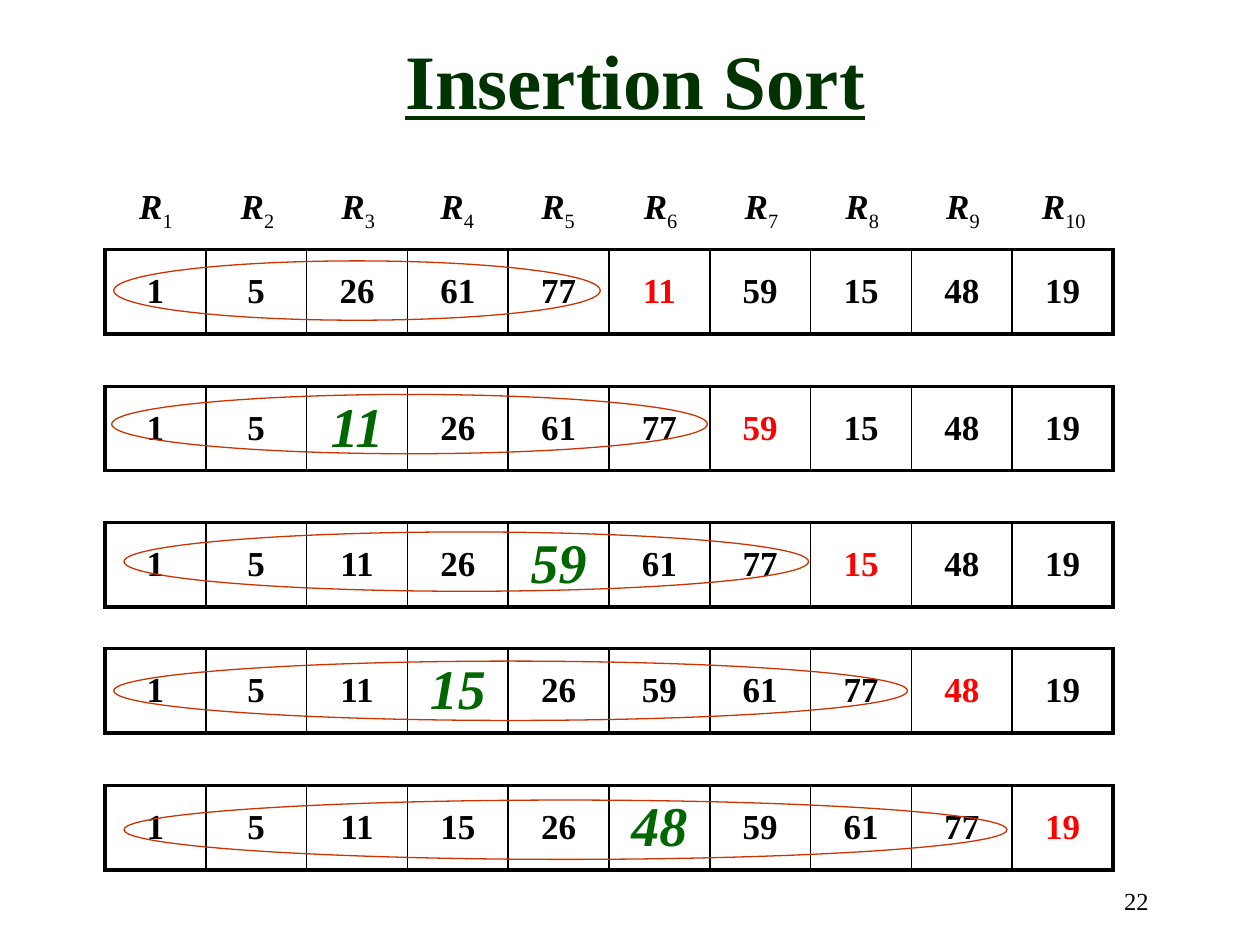
"""Build the insertion sort slide showing five passes over ten records."""
import dataclasses
import typing

import pptx
import pptx.dml.color
import pptx.enum.shapes
import pptx.enum.text
import pptx.oxml
import pptx.oxml.ns
import pptx.util

Pt = pptx.util.Pt
Align = pptx.enum.text.PP_ALIGN
Anchor = pptx.enum.text.MSO_ANCHOR


@dataclasses.dataclass(frozen=True)
class Theme:
    font: str = "Times New Roman"
    black: str = "000000"
    heading: str = "003300"
    inserted: str = "006600"
    pending: str = "FF0000"
    ring: str = "CC3300"
    title_size: float = 44
    inserted_size: float = 32
    cell_size: float = 20
    number_size: float = 14
    outer_line: float = 2.25
    inner_line: float = 1
    ring_line: float = 0.75


class Ring(typing.NamedTuple):
    left: float
    top: float
    width: float


class Pass(typing.NamedTuple):
    top: float
    values: tuple[int, ...]
    inserted: int | None
    pending: int
    ring: Ring


THEME = Theme()
TABLE_LEFT = 60
COLUMN = 57.6
ROW_HEIGHT = 48.24
RING_HEIGHT = 33.9
HEADER_TOP, HEADER_HEIGHT = 94.5, 51.8
HEADER_WIDTHS = (58.3, COLUMN, COLUMN, 55.6, 59.6) + (COLUMN,) * 5
PASSES = (
    Pass(142.6, (1, 5, 26, 61, 77, 11, 59, 15, 48, 19), None, 5, Ring(65, 149.1, 278)),
    Pass(220.8, (1, 5, 11, 26, 61, 77, 59, 15, 48, 19), 2, 6, Ring(63.8, 225.4, 340.4)),
    Pass(298.6, (1, 5, 11, 26, 59, 61, 77, 15, 48, 19), 4, 7, Ring(70.8, 304, 391.2)),
    Pass(370.6, (1, 5, 11, 15, 26, 59, 61, 77, 48, 19), 3, 8, Ring(65, 377.8, 453.6)),
    Pass(448.8, (1, 5, 11, 15, 26, 48, 59, 61, 77, 19), 5, 9, Ring(70.8, 457.2, 504.6)),
)


def add_span(para, text: str, size: float, color: str = THEME.black, **style):
    """Append formatted text to a paragraph."""
    span = para.add_run()
    span.text = text
    for name, value in {"name": THEME.font, "size": Pt(size), **style}.items():
        setattr(span.font, name, value)
    span.font.color.rgb = pptx.dml.color.RGBColor.from_string(color)
    return span


def set_border(cell, side: str, width: float) -> None:
    """Draw one cell edge, or hide it when the width is zero."""
    edge = pptx.oxml.parse_xml(
        f'<a:ln{side} {pptx.oxml.ns.nsdecls("a")} w="{int(Pt(width))}">'
        + (f'<a:solidFill><a:srgbClr val="{THEME.black}"/></a:solidFill>' if width else "<a:noFill/>")
        + f"</a:ln{side}>"
    )
    cell._tc.get_or_add_tcPr().append(edge)


def add_row(page, top: float, height: float, widths: typing.Sequence[float], ruled: bool) -> list:
    """Add a one-row table and return its cells."""
    table = page.shapes.add_table(
        1, len(widths), Pt(TABLE_LEFT), Pt(top), Pt(sum(widths)), Pt(height)
    ).table
    table.first_row = table.horz_banding = False
    table.rows[0].height = Pt(height)
    cells = list(table.rows[0].cells)
    outer, inner = (THEME.outer_line, THEME.inner_line) if ruled else (0, 0)
    for index, (cell, width) in enumerate(zip(cells, widths)):
        table.columns[index].width = Pt(width)
        set_border(cell, "L", outer if index == 0 else inner)
        set_border(cell, "R", outer if index == len(cells) - 1 else inner)
        set_border(cell, "T", outer)
        set_border(cell, "B", outer)
        cell.fill.background()
        cell.vertical_anchor = Anchor.MIDDLE
        cell.text_frame.paragraphs[0].alignment = Align.CENTER
    return cells


def add_header(page) -> None:
    """Add the record labels with subscript numbers."""
    cells = add_row(page, HEADER_TOP, HEADER_HEIGHT, HEADER_WIDTHS, ruled=False)
    for number, cell in enumerate(cells, start=1):
        para = cell.text_frame.paragraphs[0]
        add_span(para, "R", THEME.cell_size, bold=True, italic=True)
        span = add_span(para, str(number), THEME.cell_size, bold=False)
        span._r.get_or_add_rPr().set("baseline", "-25000")


def add_pass(page, step: Pass) -> None:
    """Add the values of one sorting pass."""
    cells = add_row(page, step.top, ROW_HEIGHT, (COLUMN,) * len(step.values), ruled=True)
    for index, (cell, value) in enumerate(zip(cells, step.values)):
        style = {"size": THEME.cell_size}
        if index == step.inserted:
            style = {"size": THEME.inserted_size, "color": THEME.inserted, "italic": True}
        elif index == step.pending:
            style["color"] = THEME.pending
        add_span(cell.text_frame.paragraphs[0], str(value), bold=True, **style)


def add_ring(page, ring: Ring) -> None:
    """Circle the sorted part of a pass."""
    shape = page.shapes.add_shape(
        pptx.enum.shapes.MSO_SHAPE.OVAL,
        Pt(ring.left), Pt(ring.top), Pt(ring.width), Pt(RING_HEIGHT),
    )
    shape.shadow.inherit = False
    shape.fill.background()
    shape.line.color.rgb = pptx.dml.color.RGBColor.from_string(THEME.ring)
    shape.line.width = Pt(THEME.ring_line)


def add_title(page, text: str) -> None:
    """Place and format the title."""
    title = page.shapes.title
    for name, value in {"left": 54, "top": 0, "width": 618, "height": 90}.items():
        setattr(title, name, Pt(value))
    title.text_frame.auto_size = pptx.enum.text.MSO_AUTO_SIZE.NONE
    title.text_frame.vertical_anchor = Anchor.MIDDLE
    para = title.text_frame.paragraphs[0]
    para.alignment = Align.CENTER
    add_span(para, text, THEME.title_size, THEME.heading, bold=True, underline=True)


def add_page_number(page, text: str) -> None:
    """Add the page number at the lower right."""
    box = page.shapes.add_textbox(Pt(513.4), Pt(502.5), Pt(150), Pt(36))
    box.text_frame.word_wrap = True
    para = box.text_frame.paragraphs[0]
    para.alignment = Align.RIGHT
    add_span(para, text, THEME.number_size)


def main() -> None:
    """Build and save the deck."""
    deck = pptx.Presentation()
    deck.slide_width, deck.slide_height = Pt(720), Pt(540)
    page = deck.slides.add_slide(deck.slide_layouts.get_by_name("Title Only"))
    add_page_number(page, "22")
    add_title(page, "Insertion Sort")
    for step in PASSES:
        add_pass(page, step)
    add_header(page)
    for step in PASSES:
        add_ring(page, step.ring)
    deck.save("out.pptx")


if __name__ == "__main__":
    main()
